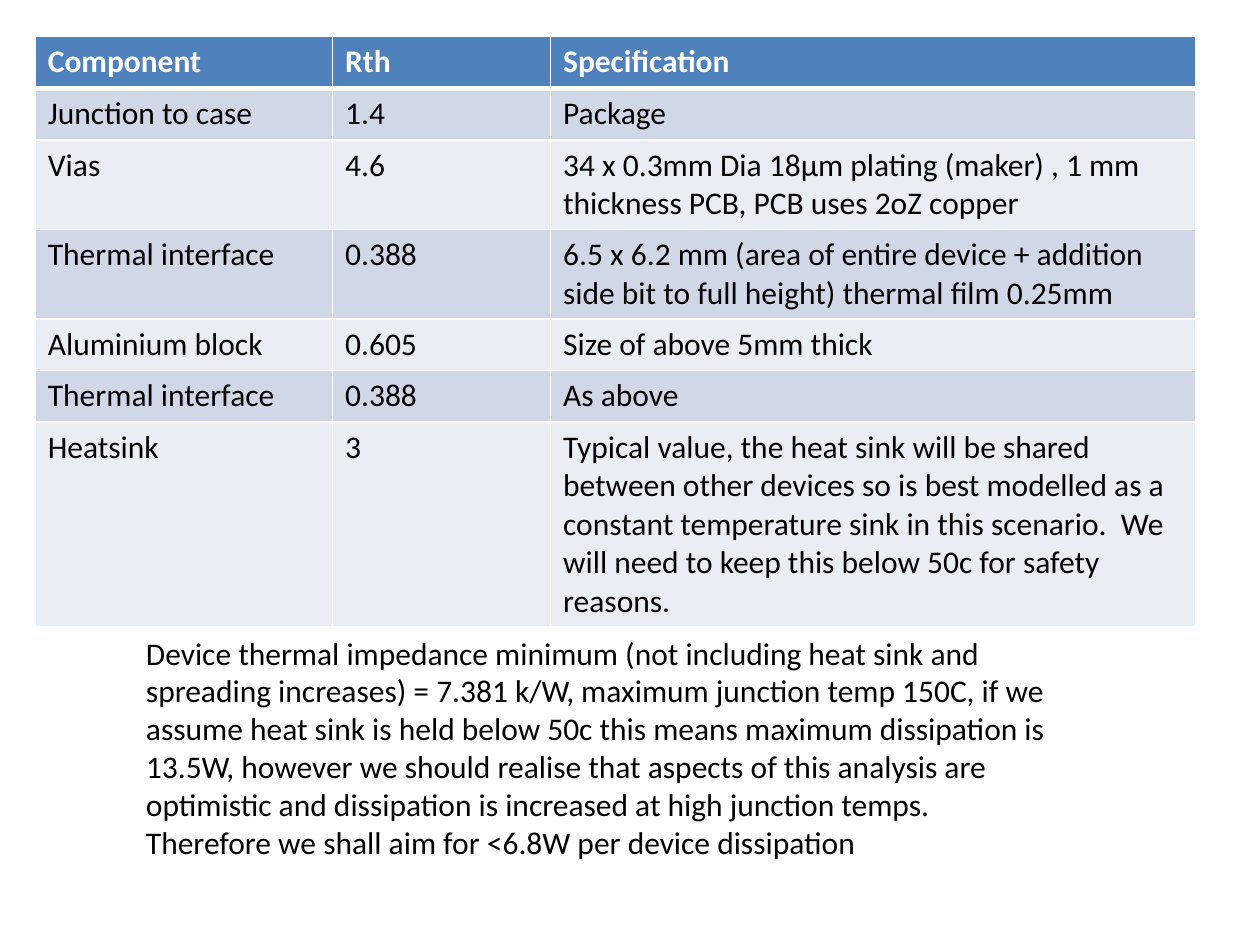
"""Build a slide with a thermal resistance table and its conclusion."""
from lxml import etree
from pptx import Presentation
from pptx.dml.color import RGBColor
from pptx.enum.text import MSO_AUTO_SIZE
from pptx.oxml.ns import qn
from pptx.util import Inches, Pt

GROW = MSO_AUTO_SIZE.SHAPE_TO_FIT_TEXT
FONT, SIZE = "Calibri", 18
WHITE, BLACK, BLUE = "FFFFFF", "000000", "4F81BD"
BANDS = ["E9EDF4", "D0D8E8"]
WIDTHS = [2.36, 1.73, 5.12]
ROW_H = 0.41
ROWS = [
    ("Component", "Rth", "Specification"),
    ("Junction to case", "1.4", "Package"),
    ("Vias", "4.6", "34 x 0.3mm Dia 18μm plating (maker) , 1 mm "
     "thickness PCB, PCB uses 2oZ copper"),
    ("Thermal interface", "0.388", "6.5 x 6.2 mm (area of entire device + "
     "addition side bit to full height) thermal film 0.25mm"),
    ("Aluminium block", "0.605", "Size of above 5mm thick"),
    ("Thermal interface", "0.388", "As above"),
    ("Heatsink", "3", "Typical value, the heat sink will be shared between "
     "other devices so is best modelled as a constant temperature sink in "
     "this scenario.  We will need to keep this below 50c for safety "
     "reasons."),
]
NOTE = (
    "Device thermal impedance minimum (not including heat sink and spreading "
    "increases) = 7.381 k/W, maximum junction temp 150C, if we assume heat "
    "sink is held below 50c this means maximum dissipation is 13.5W, however "
    "we should realise that aspects of this analysis are optimistic and "
    "dissipation is increased at high junction temps.  Therefore we shall "
    "aim for <6.8W per device dissipation"
)


def color(code):
    return RGBColor.from_string(code)


def write(frame, text, ink, bold=False):
    run = frame.paragraphs[0].add_run()
    run.text = text
    font = run.font
    font.name, font.size, font.bold = FONT, Pt(SIZE), bold
    font.color.rgb = color(ink)


def edge(cell, side, width):
    line = etree.SubElement(cell._tc.get_or_add_tcPr(), qn("a:ln" + side),
                            w=str(Pt(width)))
    fill = etree.SubElement(line, qn("a:solidFill"))
    etree.SubElement(fill, qn("a:srgbClr"), val=WHITE)


def add_grid(slide):
    grid = slide.shapes.add_table(
        len(ROWS), len(WIDTHS), Inches(0.28), Inches(0.29),
        Inches(sum(WIDTHS)), Inches(ROW_H * len(ROWS))).table
    for col, width in zip(grid.columns, WIDTHS):
        col.width = Inches(width)
    for i, row in enumerate(ROWS):
        grid.rows[i].height = Inches(ROW_H)
        head = i == 0
        for j, text in enumerate(row):
            cell = grid.cell(i, j)
            for side in "LRTB":
                thick = (head and side == "B") or (i == 1 and side == "T")
                edge(cell, side, 3 if thick else 1)
            cell.fill.solid()
            cell.fill.fore_color.rgb = color(BLUE if head else BANDS[i % 2])
            write(cell.text_frame, text, WHITE if head else BLACK, head)


def add_note(slide):
    box = slide.shapes.add_textbox(
        Inches(1.06), Inches(4.98), Inches(7.48), Inches(2.52))
    frame = box.text_frame
    frame.word_wrap = True
    frame.auto_size = GROW
    write(frame, NOTE, BLACK)


def main():
    deck = Presentation()
    deck.slide_width, deck.slide_height = Inches(10), Inches(7.5)
    slide = deck.slides.add_slide(deck.slide_layouts[6])
    add_grid(slide)
    add_note(slide)
    deck.save("out.pptx")


if __name__ == "__main__":
    main()
